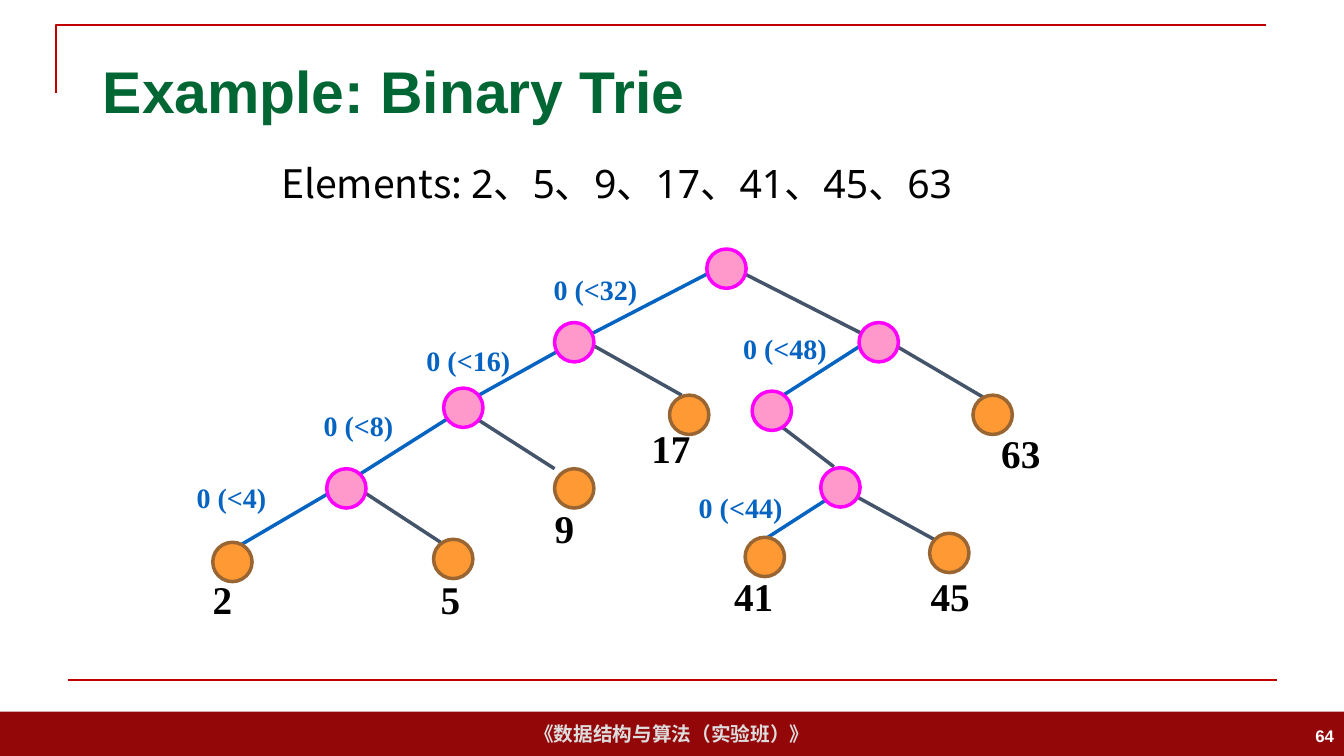
from dataclasses import dataclass

import pptx
import pptx.dml.color
import pptx.enum.shapes
import pptx.enum.text
import pptx.oxml.ns
import pptx.util
from lxml import etree

Inches = pptx.util.Inches
Pt = pptx.util.Pt
Align = pptx.enum.text.PP_ALIGN
Anchor = pptx.enum.text.MSO_ANCHOR
Kind = pptx.enum.shapes.MSO_SHAPE

HUES = {
    "bar": "940709", "rule": "C00000", "title": "006633", "foot": "DDDDDD",
    "white": "FFFFFF", "black": "000000", "zero": "0563C1", "one": "44546A",
    "inner": "FF99CC", "inner_rim": "FF00FF", "leaf": "FF9933", "leaf_rim": "996633",
}
SIZE = 0.39  # node diameter


@dataclass
class Edge:
    x1: float
    y1: float
    x2: float
    y2: float

    @property
    def hue(self) -> str:
        # a branch to the left is bit 0, to the right bit 1
        return "zero" if self.x2 < self.x1 else "one"


@dataclass
class Node:
    x: float
    y: float
    kind: str = "inner"


@dataclass
class Label:
    text: str
    x: float
    y: float
    width: float
    points: int = 28
    hue: str = "black"


@dataclass
class Test(Label):
    points: int = 20
    hue: str = "zero"


EDGES = [
    Edge(7.01, 2.72, 5.87, 3.31), Edge(7.39, 2.72, 8.55, 3.31),
    Edge(5.54, 3.48, 4.75, 3.92), Edge(5.87, 3.42, 6.76, 3.92),
    Edge(4.43, 4.16, 3.56, 4.71), Edge(4.75, 4.17, 5.5, 4.65),
    Edge(3.25, 4.9, 2.38, 5.41), Edge(3.62, 4.89, 4.37, 5.38),
    Edge(8.52, 3.44, 7.77, 3.92), Edge(8.9, 3.44, 9.75, 3.94),
    Edge(7.67, 4.17, 8.27, 4.63),
    Edge(8.27, 4.91, 7.57, 5.36), Edge(8.5, 4.93, 9.28, 5.36),
]
NODES = [
    Node(7.01, 2.47), Node(5.5, 3.2), Node(8.52, 3.2), Node(4.4, 3.85),
    Node(6.64, 3.92, "leaf"), Node(7.46, 3.88), Node(9.65, 3.92, "leaf"),
    Node(3.24, 4.65), Node(5.5, 4.65, "leaf"), Node(2.11, 5.38, "leaf"),
    Node(4.3, 5.35, "leaf"), Node(8.14, 4.64), Node(7.39, 5.33, "leaf"),
    Node(9.22, 5.29, "leaf"),
]
LABELS = [
    Test("0 (<32)", 5.49, 2.7, 1.59), Test("0 (<16)", 4.23, 3.41, 1.63),
    Test("0 (<8)", 3.21, 4.05, 1.13), Test("0 (<4)", 1.95, 4.77, 1.13),
    Test("0 (<44)", 6.93, 4.87, 1.13), Test("0 (<48)", 7.37, 3.29, 1.61),
    Label("2", 2.11, 5.71, 0.38), Label("5", 4.37, 5.71, 0.98),
    Label("9", 5.5, 5, 0.38), Label("17", 6.46, 4.21, 0.67),
    Label("41", 7.28, 5.68, 1.11), Label("63", 9.93, 4.26, 0.88),
    Label("45", 9.23, 5.68, 1.26),
]


def tint(hue: str) -> pptx.dml.color.RGBColor:
    return pptx.dml.color.RGBColor.from_string(HUES[hue])


def style(para, face: str | None, points: int, hue: str, bold: bool = True) -> None:
    font = para.font
    font.name, font.size, font.bold = face, Pt(points), bold
    font.color.rgb = tint(hue)


def pen(line, hue: str, points: float) -> None:
    line.color.rgb = tint(hue)
    line.width = Pt(points)


def pad(frame, side: float, top: float) -> None:
    frame.margin_left = frame.margin_right = Inches(side)
    frame.margin_top = frame.margin_bottom = Inches(top)


def draw_line(slide, edge: Edge, hue: str, points: float) -> None:
    ends = [Inches(v) for v in (edge.x1, edge.y1, edge.x2, edge.y2)]
    line = slide.shapes.add_connector(pptx.enum.shapes.MSO_CONNECTOR.STRAIGHT, *ends)
    pen(line.line, hue, points)
    etree.SubElement(line._element.spPr, pptx.oxml.ns.qn("a:effectLst"))


def draw_node(slide, node: Node) -> None:
    dot = slide.shapes.add_shape(
        Kind.OVAL, Inches(node.x), Inches(node.y), Inches(SIZE), Inches(SIZE))
    dot.shadow.inherit = False
    dot.fill.solid()
    dot.fill.fore_color.rgb = tint(node.kind)
    pen(dot.line, node.kind + "_rim", 2.5)


def add_box(slide, x: float, y: float, width: float, height: float):
    box = slide.shapes.add_textbox(Inches(x), Inches(y), Inches(width), Inches(height))
    box.text_frame.word_wrap = True
    return box.text_frame


def draw_label(slide, label: Label) -> None:
    frame = add_box(slide, label.x, label.y, label.width, 0.48)
    pad(frame, 0, 0)
    frame.text = label.text
    style(frame.paragraphs[0], "Times New Roman", label.points, label.hue)


def draw_frame(slide) -> None:
    # Footer bar
    bar = slide.shapes.add_shape(
        Kind.RECTANGLE, 0, Inches(7.06), Inches(13.33), Inches(0.44))
    bar.shadow.inherit = False
    bar.fill.solid()
    bar.fill.fore_color.rgb = tint("bar")
    bar.line.fill.background()
    text = bar.text_frame
    text.word_wrap = False
    text.vertical_anchor = Anchor.MIDDLE
    text.text = "《数据结构与算法（实验班）》"
    text.paragraphs[0].alignment = Align.CENTER
    style(text.paragraphs[0], "Arial", 14, "foot")

    # Corner rule and bottom rule
    path = slide.shapes.build_freeform(Inches(0.56), Inches(0.92))
    path.add_line_segments(
        [(Inches(0.56), Inches(0.25)), (Inches(12.56), Inches(0.25))], close=False)
    rule = path.convert_to_shape()
    rule.shadow.inherit = False
    rule.fill.background()
    pen(rule.line, "rule", 1.5)
    draw_line(slide, Edge(0.67, 6.75, 12.67, 6.75), "rule", 1.5)

    # Page number
    page = add_box(slide, 10.33, 7.1, 3, 0.4)
    page.vertical_anchor = Anchor.MIDDLE
    page.text = "64"
    page.paragraphs[0].alignment = Align.RIGHT
    style(page.paragraphs[0], "Arial", 12, "white")


def draw_heads(slide) -> None:
    # Title
    title = slide.shapes.title
    title.left, title.top = Inches(0.92), Inches(0.4)
    title.width, title.height = Inches(11.5), Inches(0.99)
    frame = title.text_frame
    frame.text = "Example: Binary Trie"
    frame.auto_size = pptx.enum.text.MSO_AUTO_SIZE.NONE
    frame.vertical_anchor = Anchor.MIDDLE
    frame.paragraphs[0].alignment = Align.LEFT
    style(frame.paragraphs[0], "Arial", 42, "title")

    # Element list
    frame = add_box(slide, 2.02, 1.51, 8.19, 0.73)
    pad(frame, 0.13, 0.07)
    para = frame.paragraphs[0]
    para.alignment = Align.CENTER
    style(para, None, 28, "black", False)
    for text, face in (("Elements: ", "Noto Sans CJK SC"),
                       ("2、5、9、17、41、45、63", "Noto Sans")):
        run = para.add_run()
        run.text, run.font.name = text, face


def main() -> None:
    deck = pptx.Presentation()
    deck.slide_width, deck.slide_height = Inches(13.33), Inches(7.5)
    slide = deck.slides.add_slide(deck.slide_layouts.get_by_name("Title Only"))
    draw_frame(slide)
    draw_heads(slide)

    # Trie: edges, then labels, then nodes on top
    for edge in EDGES:
        draw_line(slide, edge, edge.hue, 2.5)
    for label in LABELS:
        draw_label(slide, label)
    for node in NODES:
        draw_node(slide, node)
    deck.save("out.pptx")


if __name__ == "__main__":
    main()
